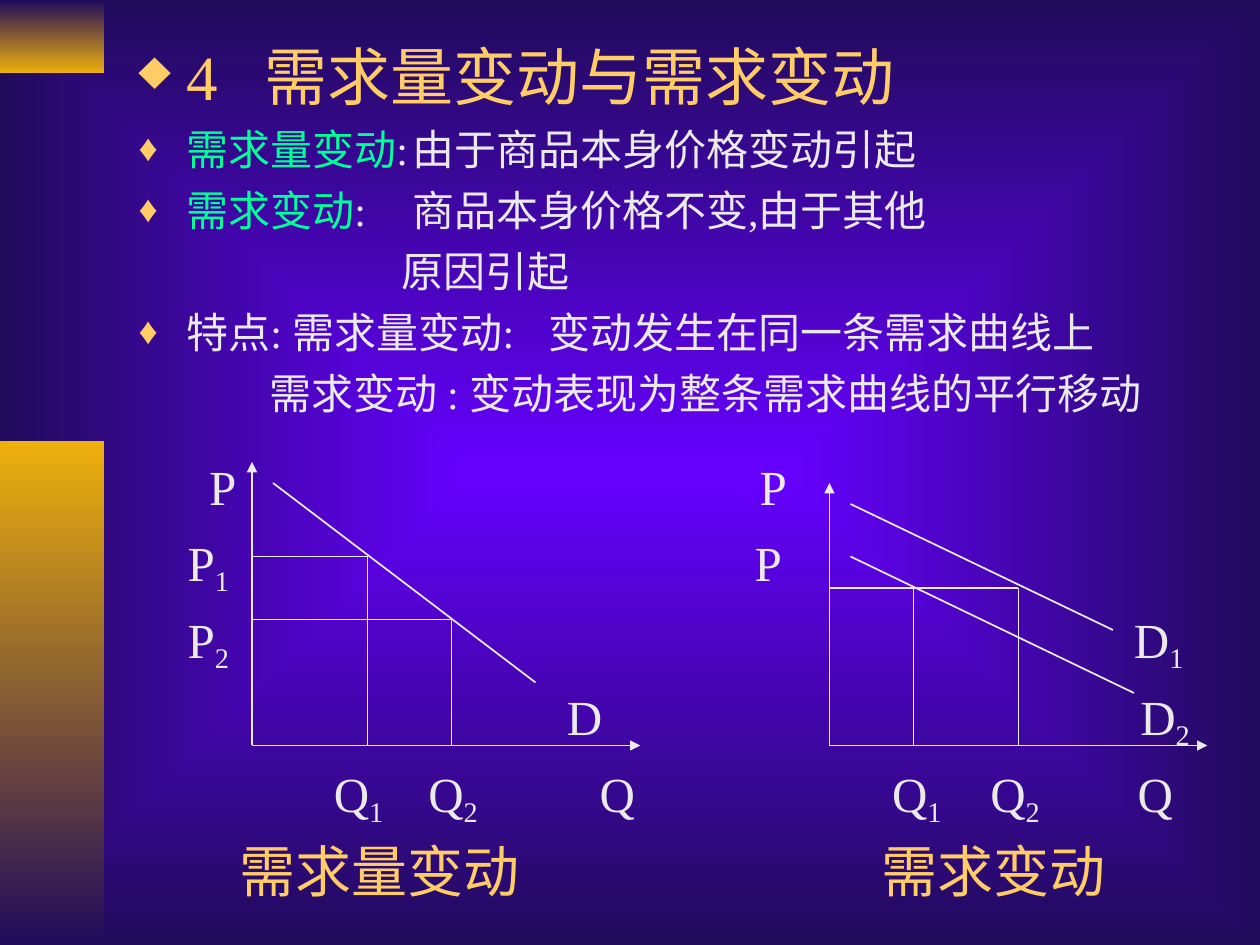
"""Build the slide on movement along and shifts of the demand curve."""
from dataclasses import dataclass

from pptx import Presentation, oxml, util as u
from pptx.dml.color import RGBColor
from pptx.enum import shapes, text
from pptx.oxml.ns import nsdecls


@dataclass(frozen=True)
class Theme:
    font: str = "Times New Roman"
    gold: str = "FFCC66"
    green: str = "00FF99"
    pale: str = "EAEAEA"
    glow: str = "6600FF"
    night: str = "200B5B"
    amber: str = "EEB00B"
    title: int = 36
    caption: int = 32
    label: int = 28
    body: int = 24


@dataclass(frozen=True)
class Item:
    words: str
    key: str = ""
    tab: float = 0
    indent: float = 0.38
    bullet: bool = True


@dataclass(frozen=True)
class Line:
    start: tuple[int, int]
    end: tuple[int, int]
    arrow: bool = False


@dataclass(frozen=True)
class Label:
    left: float
    row: int
    words: str
    sub: str = ""


T = Theme()
UNIT = 1 / 12
LABEL_TOP, LABEL_STEP = 3.62, 0.61
BASE = 71

ITEMS = [
    Item(":\t由于商品本身价格变动引起", "需求量变动", 2.17),
    Item(":\t商品本身价格不变,由于其他", "需求变动", 2.17),
    Item("原因引起", indent=2.09, bullet=False),
    Item("特点: 需求量变动:\t变动发生在同一条需求曲线上", tab=3.25),
    Item("需求变动 : 变动表现为整条需求曲线的平行移动", indent=1.04, bullet=False),
]
LINES = [
    Line((24, BASE), (24, 44), True),
    Line((24, BASE), (61, BASE), True),
    Line((26, 46), (51, 65)),
    Line((24, 53), (35, 53)),
    Line((35, 53), (35, BASE)),
    Line((24, 59), (43, 59)),
    Line((43, 59), (43, BASE)),
    Line((79, BASE), (79, 46), True),
    Line((79, BASE), (115, BASE), True),
    Line((81, 48), (106, 60)),
    Line((81, 53), (108, 66)),
    Line((79, 56), (97, 56)),
    Line((87, 56), (87, BASE)),
    Line((97, 56), (97, BASE)),
]
LABELS = [
    Label(1.66, 0, "P"), Label(6.03, 0, "P"),
    Label(1.49, 1, "P", "1"), Label(5.99, 1, "P"),
    Label(1.49, 2, "P", "2"), Label(9, 2, "D", "1"),
    Label(4.5, 3, "D"), Label(9.05, 3, "D", "2"),
    Label(2.65, 4, "Q", "1"), Label(3.4, 4, "Q", "2"), Label(4.76, 4, "Q"),
    Label(7.08, 4, "Q", "1"), Label(7.86, 4, "Q", "2"), Label(9.03, 4, "Q"),
]
CAPTIONS = [(1.9, "需求量变动"), (7, "需求变动")]


def rgb(value: str) -> RGBColor:
    return RGBColor.from_string(value)


def add_xml(parent, tag: str, attrs: str = "", inner: str = "") -> None:
    parent.append(oxml.parse_xml(f"<a:{tag} {nsdecls('a')} {attrs}>{inner}</a:{tag}>"))


def set_font(font, size: int, color: str) -> None:
    font.name, font.size = T.font, u.Pt(size)
    font.color.rgb = rgb(color)


def set_gradient(fill, first: str, last: str) -> None:
    fill.gradient()
    for stop, color in zip(fill.gradient_stops, (first, last)):
        stop.color.rgb = rgb(color)


def format_list(p, item: Item, size: int, color: str) -> None:
    p.alignment = text.PP_ALIGN.LEFT
    p.space_before = u.Pt(6)
    pPr = p._p.get_or_add_pPr()
    pPr.set("marL", str(u.Inches(item.indent)))
    pPr.set("indent", str(-u.Inches(item.indent) if item.bullet else 0))
    if item.bullet:
        add_xml(pPr, "buClr", inner=f'<a:srgbClr val="{T.gold}"/>')
        add_xml(pPr, "buSzPct", 'val="90000"')
        add_xml(pPr, "buChar", 'char="♦"')
    else:
        add_xml(pPr, "buNone")
    if item.tab:
        add_xml(pPr, "tabLst", inner=f'<a:tab pos="{u.Inches(item.tab)}" algn="l"/>')
    set_font(p.font, size, color)


def fill_list(sp, top: float, height: float, items: list[Item], size: int, color: str) -> None:
    sp.left, sp.top, sp.width, sp.height = map(u.Inches, (1, top, 8.83, height))
    tf = sp.text_frame
    tf.auto_size = text.MSO_AUTO_SIZE.NONE
    tf.vertical_anchor = text.MSO_ANCHOR.TOP
    for i, item in enumerate(items):
        p = tf.add_paragraph() if i else tf.paragraphs[0]
        format_list(p, item, size, color)
        if item.key:
            r = p.add_run()
            r.text = item.key
            r.font.color.rgb = rgb(T.green)
        p.add_run().text = item.words


def add_bar(s, top: float, height: float, first: str, last: str) -> None:
    sp = s.shapes.add_shape(shapes.MSO_SHAPE.RECTANGLE, 0, *map(u.Inches, (top, 0.83, height)))
    sp.shadow.inherit = False
    sp.line.fill.background()
    set_gradient(sp.fill, first, last)
    sp.fill.gradient_angle = 270


def add_line(s, line: Line) -> None:
    ends = [u.Inches(v * UNIT) for v in line.start + line.end]
    sp = s.shapes.add_connector(shapes.MSO_CONNECTOR.STRAIGHT, *ends)
    sp.line.color.rgb = rgb(T.pale)
    sp.line.width = u.Pt(1)
    if line.arrow:
        add_xml(sp.line._get_or_add_ln(), "tailEnd", 'type="triangle"')
    add_xml(sp._element.spPr, "effectLst")


def add_text(s, left: float, top: float, width: float, words: str, size: int, color: str):
    sp = s.shapes.add_textbox(*map(u.Inches, (left, top, width, 0.5)))
    tf = sp.text_frame
    tf.margin_left = tf.margin_top = tf.margin_right = tf.margin_bottom = 0
    tf.word_wrap = True
    p = tf.paragraphs[0]
    set_font(p.font, size, color)
    p.add_run().text = words
    return p


def add_label(s, label: Label) -> None:
    top = LABEL_TOP + label.row * LABEL_STEP
    p = add_text(s, label.left, top, 0.6, label.words, T.label, T.pale)
    if label.sub:
        r = p.add_run()
        r.text = label.sub
        r._r.get_or_add_rPr().set("baseline", "-20000")


def main() -> None:
    prs = Presentation()
    prs.slide_width, prs.slide_height = u.Inches(10), u.Inches(7.5)
    s = prs.slides.add_slide(prs.slide_layouts[1])
    set_gradient(s.background.fill, T.glow, T.night)
    lin = s.element.xpath(".//p:bg//a:lin")[0]
    grad = lin.getparent()
    grad.remove(lin)
    add_xml(grad, "path", 'path="rect"', '<a:fillToRect l="50000" t="50000" r="50000" b="50000"/>')
    add_bar(s, 0, 0.58, T.night, T.amber)
    add_bar(s, 3.5, 4, T.amber, T.night)
    title, body = s.placeholders
    fill_list(title, 0.25, 0.7, [Item("4\t需求量变动与需求变动", tab=0.63)], T.title, T.gold)
    fill_list(body, 0.93, 2.52, ITEMS, T.body, T.pale)
    for line in LINES:
        add_line(s, line)
    for label in LABELS:
        add_label(s, label)
    for left, words in CAPTIONS:
        add_text(s, left, 6.64, 2.5, words, T.caption, T.gold)
    prs.save("out.pptx")


if __name__ == "__main__":
    main()
